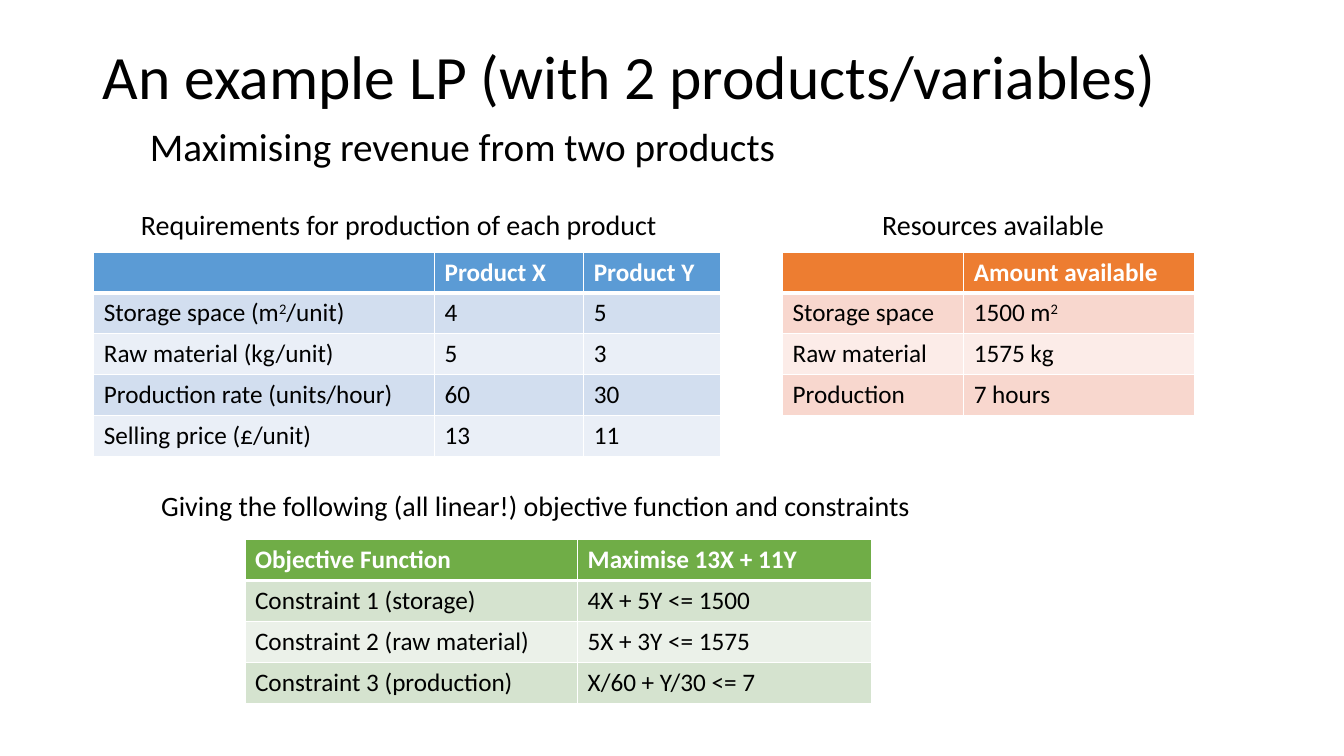
from lxml import etree
from pptx import Presentation
from pptx.dml.color import RGBColor
from pptx.enum.text import MSO_ANCHOR as Anchor, MSO_AUTO_SIZE as AutoSize, PP_ALIGN as Align
from pptx.oxml.ns import qn
from pptx.util import Pt

BLACK = RGBColor(0x00, 0x00, 0x00)
WHITE = RGBColor(0xFF, 0xFF, 0xFF)

# Header, odd row and even row fills
BLUES = (RGBColor(0x5B, 0x9B, 0xD5), RGBColor(0xD2, 0xDE, 0xEF), RGBColor(0xEA, 0xEF, 0xF7))
ORANGES = (RGBColor(0xED, 0x7D, 0x31), RGBColor(0xF8, 0xD7, 0xCE), RGBColor(0xFC, 0xEC, 0xE8))
GREENS = (RGBColor(0x70, 0xAD, 0x47), RGBColor(0xD5, 0xE3, 0xCF), RGBColor(0xEB, 0xF1, 0xE9))

# Text between carets is superscript
REQUIREMENTS = [
    ("", "Product X", "Product Y"),
    ("Storage space (m^2^/unit)", "4", "5"),
    ("Raw material (kg/unit)", "5", "3"),
    ("Production rate (units/hour)", "60", "30"),
    ("Selling price (£/unit)", "13", "11"),
]
RESOURCES = [
    ("", "Amount available"),
    ("Storage space", "1500 m^2^"),
    ("Raw material", "1575 kg"),
    ("Production", "7 hours"),
]
MODEL = [
    ("Objective Function", "Maximise 13X + 11Y"),
    ("Constraint 1 (storage)", "4X + 5Y <= 1500"),
    ("Constraint 2 (raw material)", "5X + 3Y <= 1575"),
    ("Constraint 3 (production)", "X/60 + Y/30 <= 7"),
]


class SlideBuilder:
    font_name = "Calibri"
    row_height = 29.2

    def __init__(self, deck):
        self.slide = deck.slides.add_slide(deck.slide_layouts[5])

    def add_text(self, para, text, size, color=BLACK, bold=False):
        style = {"name": self.font_name, "size": Pt(size), "bold": bold}
        for index, piece in enumerate(text.split("^")):
            if not piece:
                continue
            span = para.add_run()
            span.text = piece
            for name, value in style.items():
                setattr(span.font, name, value)
            span.font.color.rgb = color
            if index % 2:
                span._r.get_or_add_rPr().set("baseline", "30000")

    def title(self, text, left, top, width, height):
        box = self.slide.shapes.title
        place = {"left": left, "top": top, "width": width, "height": height}
        for name, value in place.items():
            setattr(box, name, Pt(value))
        frame = box.text_frame
        frame.auto_size = AutoSize.NONE
        frame.vertical_anchor = Anchor.MIDDLE
        para = frame.paragraphs[0]
        para.alignment = Align.LEFT
        para.line_spacing = 0.9
        self.add_text(para, text, 44)

    def label(self, text, left, top, width, height, size=20, wrap=False):
        box = self.slide.shapes.add_textbox(Pt(left), Pt(top), Pt(width), Pt(height))
        frame = box.text_frame
        frame.word_wrap = wrap
        frame.auto_size = AutoSize.SHAPE_TO_FIT_TEXT
        self.add_text(frame.paragraphs[0], text, size)

    def borders(self, cell, top, bottom):
        props = cell._tc.get_or_add_tcPr()
        for side, width in (("L", 1), ("R", 1), ("T", top), ("B", bottom)):
            line = etree.SubElement(props, qn(f"a:ln{side}"), w=str(Pt(width)))
            fill = etree.SubElement(line, qn("a:solidFill"))
            etree.SubElement(fill, qn("a:srgbClr"), val=str(WHITE))

    def table(self, rows, left, top, widths, fills):
        frame = self.slide.shapes.add_table(
            len(rows), len(widths), Pt(left), Pt(top),
            Pt(sum(widths)), Pt(self.row_height * len(rows)))
        table = frame.table
        for column, width in zip(table.columns, widths):
            column.width = Pt(width)
        for r, texts in enumerate(rows):
            table.rows[r].height = Pt(self.row_height)
            header = r == 0
            fill = fills[0] if header else fills[2 - r % 2]
            for c, text in enumerate(texts):
                cell = table.cell(r, c)
                # The rule under the header is thicker
                self.borders(cell, top=3 if r == 1 else 1, bottom=3 if header else 1)
                cell.fill.solid()
                cell.fill.fore_color.rgb = fill
                self.add_text(cell.text_frame.paragraphs[0], text, 18,
                              WHITE if header else BLACK, header)


def main():
    deck = Presentation()
    deck.slide_width, deck.slide_height = Pt(960), Pt(540)
    page = SlideBuilder(deck)

    # Headings
    page.title("An example LP (with 2 products/variables)", 66, 29, 875, 55)
    page.label("Maximising revenue from two products", 100, 83.5, 688, 41, size=28, wrap=True)

    # Requirements
    page.label("Requirements for production of each product", 93.6, 145, 387, 31.5)
    page.table(REQUIREMENTS, 67, 180, (243.4, 106.6, 97.6), BLUES)

    # Resources
    page.label("Resources available", 623, 144.5, 175, 31.5)
    page.table(RESOURCES, 559, 180, (129.4, 165), ORANGES)

    # Objective function and constraints
    page.label("Giving the following (all linear!) objective function and constraints",
               108, 345.5, 550, 31.5)
    page.table(MODEL, 175, 385.5, (237.6, 210.2), GREENS)

    deck.save("out.pptx")


if __name__ == "__main__":
    main()
